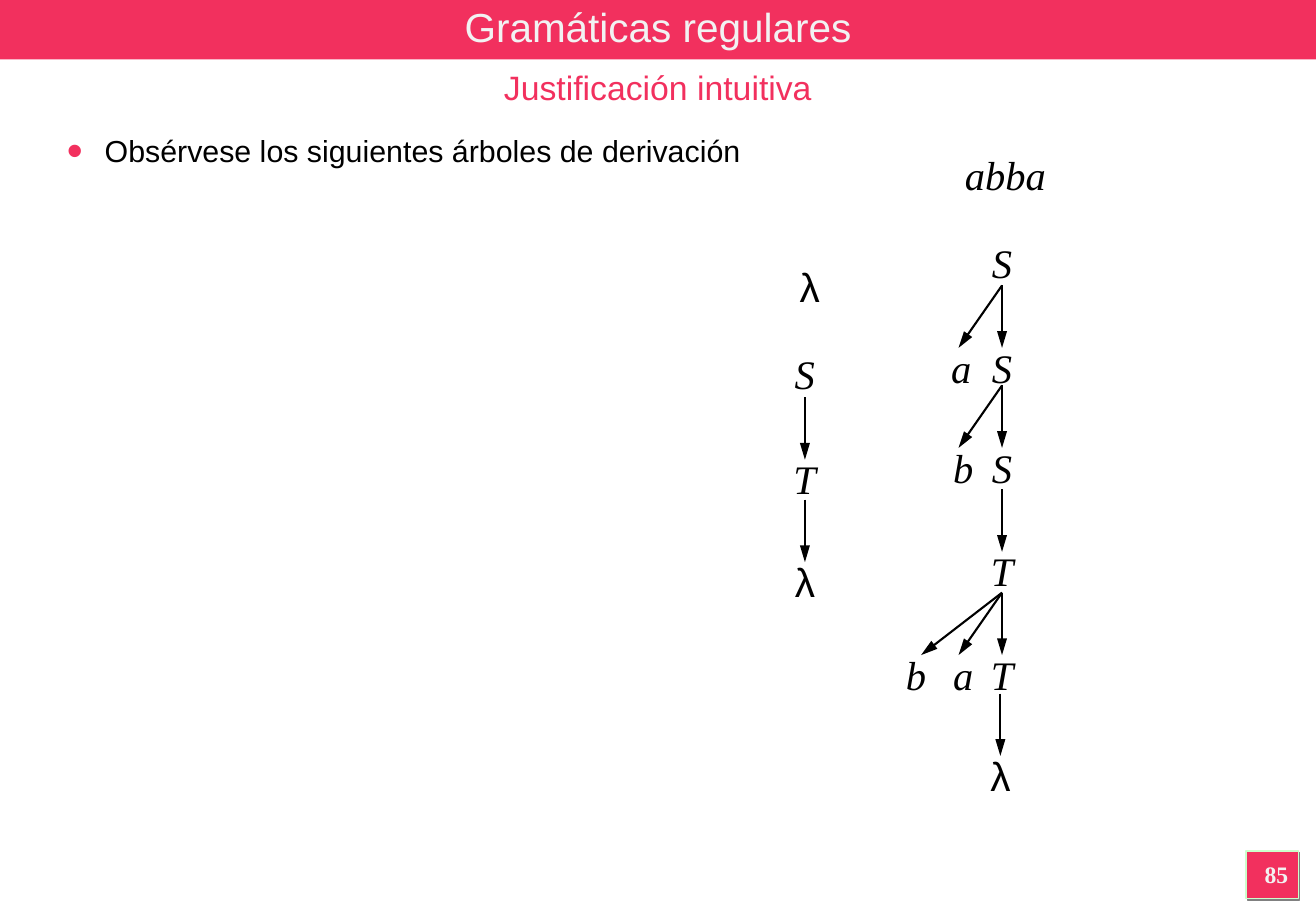
from lxml.etree import SubElement
from pptx import Presentation
from pptx.dml.color import RGBColor
from pptx.enum.shapes import MSO_CONNECTOR as Connector, MSO_SHAPE as Shape
from pptx.enum.text import MSO_ANCHOR as Anchor, MSO_AUTO_SIZE as AutoSize, PP_ALIGN as Align
from pptx.oxml.ns import qn
from pptx.util import Pt

# Content
TITLE = "Gramáticas regulares"
SUBTITLE = "Justificación intuitiva"
BULLET = "Obsérvese los siguientes árboles de derivación"
PAGE_NUMBER = "85"
# Derived words: text, centre, top
WORDS = [("λ", 480.2, 151.5), ("abba", 596.2, 85.5)]
# Tree rows: top, stem of the arrows, then (symbol, centre, arrow tip)
TREES = [
    [
        (203.5, None, [("S", 477.2, None)]),
        (265.8, 477.4, [("T", 477.2, 477.4)]),
        (326.5, 477.4, [("λ", 477.4, 477.4)]),
    ],
    [
        (137.5, None, [("S", 594.3, None)]),
        (199.5, 594.3, [("a", 570.1, 568.5), ("S", 594.3, 594.3)]),
        (258.8, 594.3, [("b", 571.3, 568.5), ("S", 594.3, 594.3)]),
        (320.4, 594.3, [("T", 594.3, 594.3)]),
        (381.6, 594.3, [("b", 543.3, 546.3), ("a", 571.3, 568.5), ("T", 594.3, 594.3)]),
        (441.4, 593.3, [("λ", 593.3, 593.3)]),
    ],
]

# Format
COLORS = {"accent": "F2305E", "light": "F2F2F2", "black": "000000",
          "edge": "CCFFCC", "shadow": "808080"}
FORMATS = {
    "title": {"size": Pt(24), "name": "Arial", "color": "light"},
    "subtitle": {"size": Pt(20), "name": "Arial", "color": "accent"},
    "bullet": {"size": Pt(18), "name": "Arial", "color": "black"},
    "symbol": {"size": Pt(24), "name": "Times New Roman", "italic": True, "color": "black"},
    "lambda": {"size": Pt(24), "name": "Arial", "color": "black"},
    "number": {"size": Pt(14), "name": "Times New Roman", "bold": True, "color": "light"},
}
WIDTH, HEIGHT = 780.48, 540
SYMBOL_WIDTH, SYMBOL_HEIGHT = 60, 36
TIP_OFFSET, ARROW_HEIGHT = 6.7, 37


def rgb(name):
    return RGBColor.from_string(COLORS[name])


def write(box, text, style, align=Align.CENTER, wrap=True, anchor=Anchor.TOP):
    frame = box.text_frame
    frame.auto_size = AutoSize.NONE
    frame.word_wrap = wrap
    frame.vertical_anchor = anchor
    frame.text = text
    para = frame.paragraphs[0]
    para.alignment = align
    para.space_before = Pt(0)
    font = para.runs[0].font
    for key, value in FORMATS[style].items():
        if key == "color":
            font.color.rgb = rgb(value)
        else:
            setattr(font, key, value)
    return para


def move(box, *place):
    for key, value in zip(("left", "top", "width", "height"), place):
        setattr(box, key, Pt(value))


def add_text(page, text, style, place, **options):
    box = page.shapes.add_textbox(*map(Pt, place))
    write(box, text, style, **options)


def add_symbol(page, text, centre, top):
    place = (centre - SYMBOL_WIDTH / 2, top, SYMBOL_WIDTH, SYMBOL_HEIGHT)
    add_text(page, text, "lambda" if text == "λ" else "symbol", place, wrap=False)


def add_arrow(page, stem, tip, bottom):
    ends = map(Pt, (stem, bottom - ARROW_HEIGHT, tip, bottom))
    arrow = page.shapes.add_connector(Connector.STRAIGHT, *ends)
    arrow.line.color.rgb = rgb("black")
    arrow.line.width = Pt(1.25)
    SubElement(arrow.line._get_or_add_ln(), qn("a:tailEnd"), type="triangle", w="med", len="lg")
    SubElement(arrow._element.spPr, qn("a:effectLst"))


def add_panel(page, *place):
    panel = page.shapes.add_shape(Shape.RECTANGLE, *map(Pt, place))
    panel.shadow.inherit = False
    panel.fill.solid()
    panel.fill.fore_color.rgb = rgb("accent")
    panel.line.fill.background()
    return panel


def add_bullet(para):
    props = para._p.get_or_add_pPr()
    props.set("marL", str(Pt(22.5)))
    props.set("indent", str(Pt(-22.5)))
    color = SubElement(props, qn("a:buClr"))
    SubElement(color, qn("a:srgbClr"), val=COLORS["accent"])
    SubElement(props, qn("a:buSzPct"), val="150000")
    SubElement(props, qn("a:buFont"), typeface="Arial")
    SubElement(props, qn("a:buChar"), char="•")


def main():
    deck = Presentation()
    deck.slide_width = Pt(WIDTH)
    deck.slide_height = Pt(HEIGHT)
    # The template's 4:3 size label does not fit this width
    deck.element.sldSz.attrib.pop("type", None)
    page = deck.slides.add_slide(deck.slide_layouts[1])
    title, body = page.placeholders

    # Header band, behind the title
    band = add_panel(page, 0, 0, WIDTH, 35.3)
    title._element.addprevious(band._element)
    move(title, 0, 0, WIDTH, 31.7)
    write(title, TITLE, "title", anchor=Anchor.MIDDLE)
    add_text(page, SUBTITLE, "subtitle", (0, 35.8, WIDTH, 31.7))

    # Bullet
    move(body, 32.4, 74.7, 717, 414)
    add_bullet(write(body, BULLET, "bullet", align=Align.LEFT))

    # Derivation trees
    for word in WORDS:
        add_symbol(page, *word)
    for tree in TREES:
        for top, stem, symbols in tree:
            for text, centre, tip in symbols:
                add_symbol(page, text, centre, top)
                if stem is not None:
                    add_arrow(page, stem, tip, top + TIP_OFFSET)

    # Page number
    badge = add_panel(page, 739, 504.5, 31, 28)
    badge.line.color.rgb = rgb("edge")
    badge.line.width = Pt(0.75)
    effects = badge._element.spPr.find(qn("a:effectLst"))
    shadow = SubElement(effects, qn("a:outerShdw"), dist=str(Pt(1.4)), dir="2700000")
    SubElement(shadow, qn("a:srgbClr"), val=COLORS["shadow"])
    add_text(page, PAGE_NUMBER, "number", (737.6, 506.2, 38.9, 25.2))

    deck.save("out.pptx")


if __name__ == "__main__":
    main()
